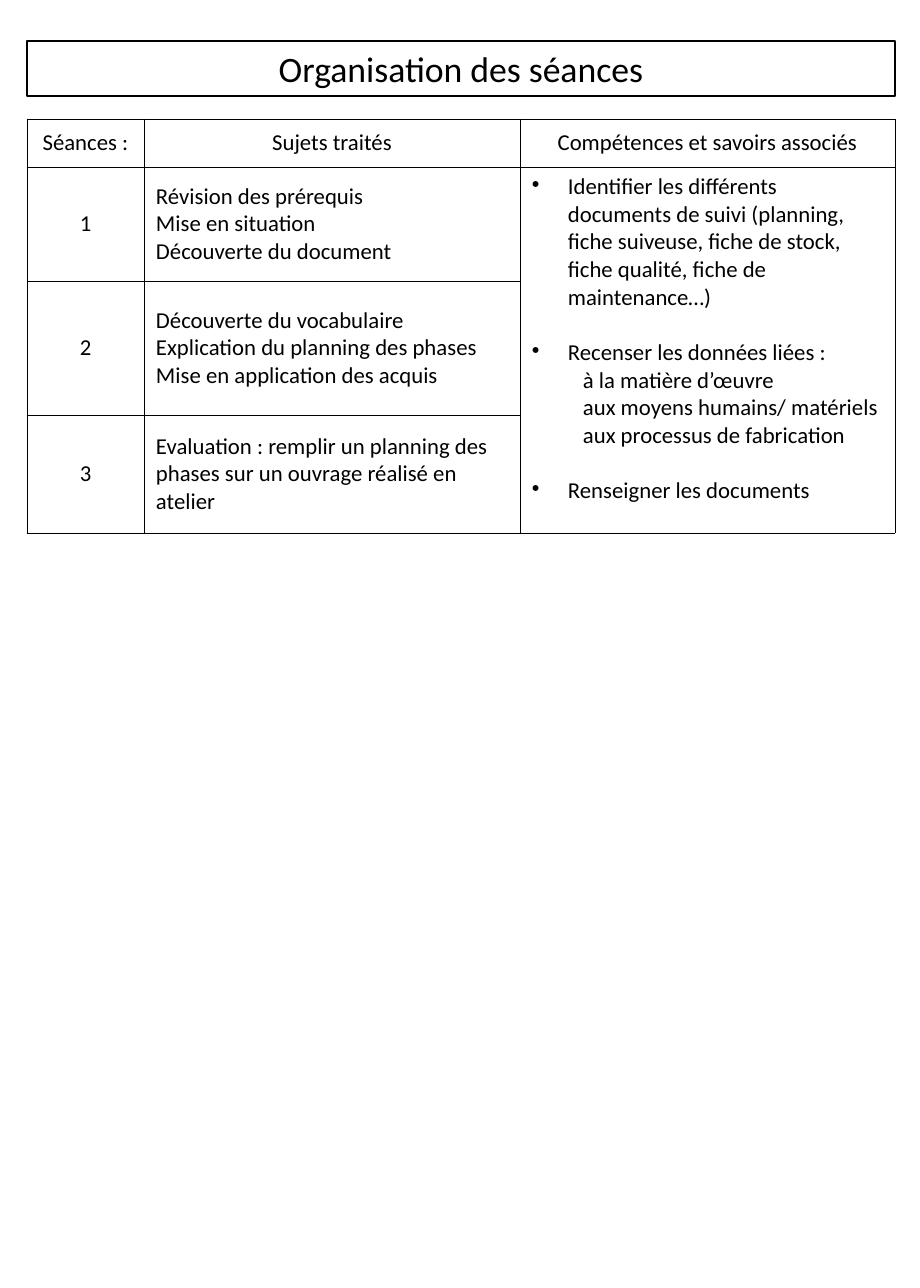
from dataclasses import dataclass

from lxml.etree import SubElement
from pptx import Presentation
from pptx.dml.color import RGBColor
from pptx.enum.text import MSO_ANCHOR, MSO_AUTO_SIZE, PP_ALIGN
from pptx.oxml import parse_xml
from pptx.oxml.ns import nsdecls, qn
from pptx.util import Pt

# Content
TITLE = "Organisation des séances"
HEADINGS = ["Séances :", "Sujets traités", "Compétences et savoirs associés"]
SESSIONS = [
    ["Révision des prérequis", "Mise en situation", "Découverte du document"],
    ["Découverte du vocabulaire", "Explication du planning des phases",
     "Mise en application des acquis"],
    ["Evaluation : remplir un planning des phases sur un ouvrage réalisé en atelier"],
]
SKILLS = [
    ("Identifier les différents documents de suivi (planning, fiche suiveuse, "
     "fiche de stock, fiche qualité, fiche de maintenance…)", []),
    ("Recenser les données liées :",
     ["à la matière d’œuvre", "aux moyens humains/ matériels",
      "aux processus de fabrication"]),
    ("Renseigner les documents", []),
]


@dataclass(frozen=True)
class Theme:
    font: str = "Calibri"
    ink: str = "000000"
    paper: str = "FFFFFF"
    title_size: float = 22
    body_size: float = 14
    skill_gap: float = 17
    frame: float = 1
    grid: float = 0.45


THEME = Theme()

# Layout in px
SCALE = 7822
PAGE_W, PAGE_H = 920, 1288
LEFT, TITLE_TOP, TITLE_H, TABLE_TOP = 27, 41, 55, 119
COLUMNS = [117, 376, 375]
ROWS = [48, 114, 134, 118]
PAD_X, PAD_Y = 12, 6
BULLET_INDENT, DETAIL_INDENT = 36, 51


def px(length):
    return length * SCALE


def set_padding(target):
    target.margin_left = target.margin_right = px(PAD_X)
    target.margin_top = target.margin_bottom = px(PAD_Y)


def write(paragraph, text, size=THEME.body_size, align=PP_ALIGN.LEFT):
    paragraph.alignment = align
    run = paragraph.add_run()
    run.text = text
    run.font.name = THEME.font
    run.font.size = Pt(size)
    run.font.bold = False
    run.font.color.rgb = RGBColor.from_string(THEME.ink)


def write_lines(cell, lines, align=PP_ALIGN.LEFT):
    frame = cell.text_frame
    for index, line in enumerate(lines):
        paragraph = frame.add_paragraph() if index else frame.paragraphs[0]
        write(paragraph, line, align=align)


def indent(paragraph, margin, first=0):
    properties = paragraph._p.get_or_add_pPr()
    properties.set("marL", str(px(margin)))
    properties.set("indent", str(px(first)))
    return properties


def write_skills(cell):
    frame = cell.text_frame
    for index, (skill, details) in enumerate(SKILLS):
        paragraph = frame.add_paragraph() if index else frame.paragraphs[0]
        write(paragraph, skill)
        if index:
            paragraph.space_before = Pt(THEME.skill_gap)
        properties = indent(paragraph, BULLET_INDENT, -BULLET_INDENT)
        SubElement(properties, qn("a:buChar"), char="•")
        for detail in details:
            paragraph = frame.add_paragraph()
            write(paragraph, detail)
            indent(paragraph, DETAIL_INDENT)


def style_cell(cell):
    set_padding(cell)
    cell.vertical_anchor = MSO_ANCHOR.MIDDLE
    cell.fill.background()
    properties = cell._tc.get_or_add_tcPr()
    for position, side in enumerate(("lnL", "lnR", "lnT", "lnB")):
        properties.insert(position, parse_xml(
            f'<a:{side} {nsdecls("a")} w="{Pt(THEME.grid)}"><a:solidFill>'
            f'<a:srgbClr val="{THEME.ink}"/></a:solidFill></a:{side}>'))


def add_title(slide):
    title = slide.shapes.title
    title.left, title.top = px(LEFT), px(TITLE_TOP)
    title.width, title.height = px(sum(COLUMNS)), px(TITLE_H)
    title.fill.solid()
    title.fill.fore_color.rgb = RGBColor.from_string(THEME.paper)
    title.line.color.rgb = RGBColor.from_string(THEME.ink)
    title.line.width = Pt(THEME.frame)
    frame = title.text_frame
    frame.auto_size = MSO_AUTO_SIZE.NONE
    frame.vertical_anchor = MSO_ANCHOR.TOP
    set_padding(frame)
    write(frame.paragraphs[0], TITLE, THEME.title_size, PP_ALIGN.CENTER)


def add_sessions(slide):
    sessions = slide.shapes.add_table(
        len(ROWS), len(COLUMNS), px(LEFT), px(TABLE_TOP),
        px(sum(COLUMNS)), px(sum(ROWS))).table
    sessions.first_row = sessions.horz_banding = False
    for column, width in zip(sessions.columns, COLUMNS):
        column.width = px(width)
    for row, height in zip(sessions.rows, ROWS):
        row.height = px(height)
    for cell in sessions.iter_cells():
        style_cell(cell)

    # Headings and sessions
    for column, heading in enumerate(HEADINGS):
        write_lines(sessions.cell(0, column), [heading], PP_ALIGN.CENTER)
    for number, topics in enumerate(SESSIONS, start=1):
        write_lines(sessions.cell(number, 0), [str(number)], PP_ALIGN.CENTER)
        write_lines(sessions.cell(number, 1), topics)

    # Skills shared by all sessions
    skills = sessions.cell(1, 2)
    skills.merge(sessions.cell(len(SESSIONS), 2))
    skills.vertical_anchor = MSO_ANCHOR.TOP
    write_skills(skills)


def main():
    deck = Presentation()
    deck.slide_width, deck.slide_height = px(PAGE_W), px(PAGE_H)
    slide = deck.slides.add_slide(deck.slide_layouts.get_by_name("Title Only"))
    add_title(slide)
    add_sessions(slide)
    deck.save("out.pptx")


if __name__ == "__main__":
    main()
